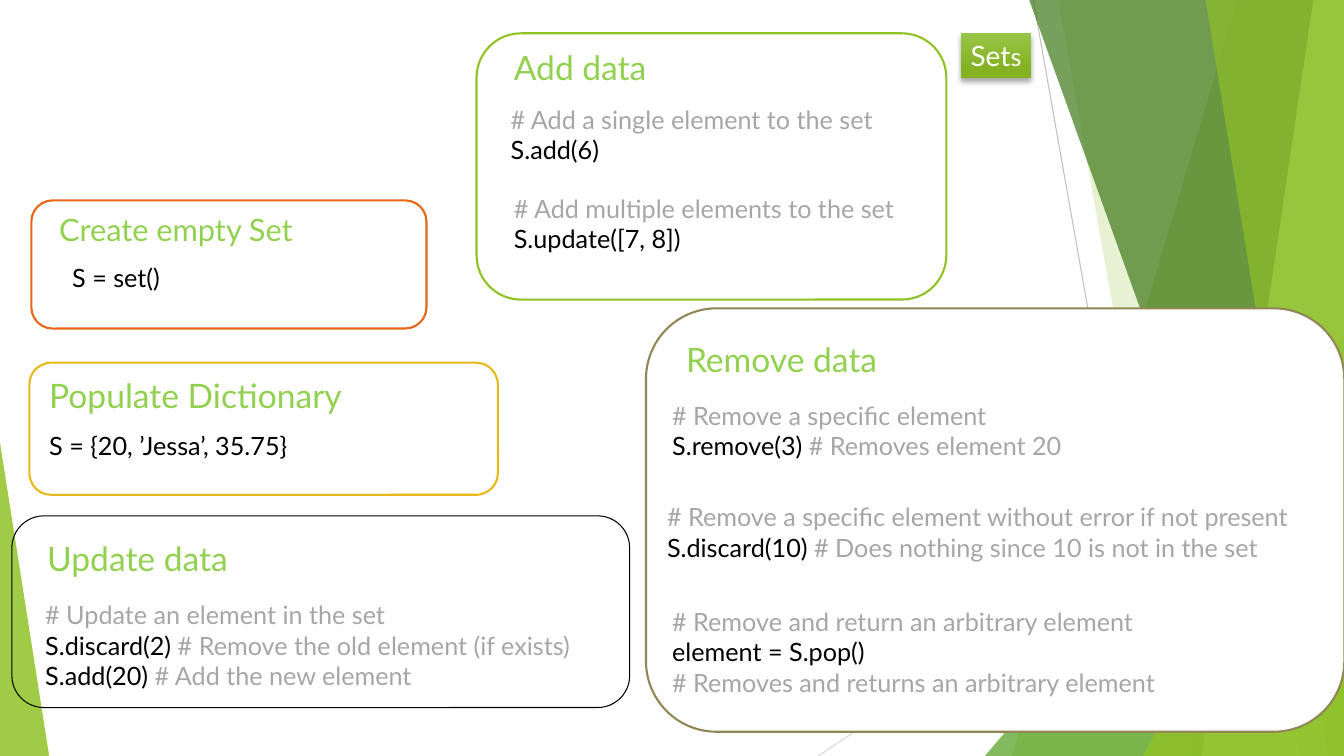
import pptx
import pptx.util
import pptx.dml.color
import pptx.enum.dml
import pptx.enum.shapes
import pptx.enum.text
import pptx.oxml
import pptx.oxml.ns
import lxml.etree

Cm, Pt = pptx.util.Cm, pptx.util.Pt
Kind = pptx.enum.shapes.MSO_SHAPE
qn = pptx.oxml.ns.qn

HEX = {
    "white": "FFFFFF", "black": "000000", "note": "A6A6A6", "head": "92D050",
    "green": "90C226", "leaf": "54A021", "dark": "3F7819", "lime": "C0E474",
    "gold": "E6B91E", "olive": "918655", "rust": "E76618",
    "silver": "BFBFBF", "mist": "D9D9D9", "light": "97C547", "deep": "84B223",
}
WIDE, HIGH = 33.87, 19.05


def tint(name):
    return pptx.dml.color.RGBColor.from_string(HEX[name])


def write(box, lines, size, plain):
    """Fill a text box; whatever follows a # takes the note colour."""
    frame = slide.shapes.add_textbox(*map(Cm, box)).text_frame
    frame.word_wrap = True
    for i, line in enumerate(lines):
        para = frame.paragraphs[0] if i == 0 else frame.add_paragraph()
        para.font.name, para.font.size = "Lato", Pt(size)
        code, mark, note = line.partition("#")
        for text, hue in ((code, plain), (mark + note, "note")):
            if text:
                run = para.add_run()
                run.text = text
                run.font.color.rgb = tint(hue)


deck = pptx.Presentation()
deck.slide_width, deck.slide_height = Cm(WIDE), Cm(HIGH)
slide = deck.slides.add_slide(deck.slide_layouts[5])

# Thin background lines
for ends, hue in [((26.04, 0, 29.41, HIGH), "silver"),
                  ((WIDE, 10.24, 20.62, HIGH), "mist")]:
    line = slide.shapes.add_connector(
        pptx.enum.shapes.MSO_CONNECTOR.STRAIGHT, *map(Cm, ends))
    line.line.color.rgb = tint(hue)
    line.line.width = Pt(0.75)
    lxml.etree.SubElement(line._element.spPr, qn("a:effectLst"))

# Green facets: bands (top x, bottom x) reach the right edge,
# triangles have a box and the place of their tip
facets = [
    ((31.19, 25.5), None, "green", 30),
    ((26.67, 30.05), None, "green", 20),
    ((24.82, 8.46, 9.05, 10.59), 1, "leaf", 72),
    ((25.93, 32.79), None, "dark", 70),
    ((33.1, 30.28), None, "lime", 70),
    ((30.38, 33.48), None, "green", 65),
    ((28.8, 9.98, 5.07, 9.07), 1, "green", 80),
    ((0, 11.15, 1.24, 7.9), 0, "green", 85),
]
for place, tip, hue, alpha in facets:
    if tip is None:
        top, foot = place
        path = slide.shapes.build_freeform(Cm(top), Cm(-0.02), scale=1)
        path.add_line_segments([(Cm(WIDE), Cm(-0.02)), (Cm(WIDE), Cm(HIGH)),
                                (Cm(foot), Cm(HIGH))], close=True)
        facet = path.convert_to_shape()
    else:
        facet = slide.shapes.add_shape(Kind.ISOSCELES_TRIANGLE, *map(Cm, place))
        facet.adjustments[0] = tip
    facet.shadow.inherit = False
    facet.line.fill.background()
    facet.fill.solid()
    facet.fill.fore_color.rgb = tint(hue)
    shade = facet._element.spPr.find(qn("a:solidFill"))[0]
    lxml.etree.SubElement(shade, qn("a:alpha")).set("val", str(alpha * 1000))

# Cards: box, fill, line, line width, heading (box, text, size), code blocks
cards = [
    ((0.74, 9.14, 11.81, 3.33), "white", "gold", 1.5,
     ((0.99, 9.32, 8.03, 1.27), "Populate Dictionary", 24),
     [((0.99, 10.72, 7.11, 1.02), ["S = {20, ’Jessa’, 35.75}"])]),
    ((16.28, 7.77, 17.6, 10.67), "white", "olive", 1.5,
     ((17.04, 8.41, 7.26, 1.52), "Remove data", 24),
     [((16.69, 9.96, 15.47, 1.8),
       ["# Remove a specific element",
        "S.remove(3) # Removes element 20"]),
      ((16.56, 12.52, 16.92, 1.8),
       ["# Remove a specific element without error if not present",
        "S.discard(10) # Does nothing since 10 is not in the set"]),
      ((16.69, 15.16, 16.92, 2.57),
       ["# Remove and return an arbitrary element",
        "element = S.pop()",
        "# Removes and returns an arbitrary element"])]),
    ((0.3, 13, 15.57, 4.83), None, "black", 0.75,
     ((0.94, 13.44, 6.58, 1.27), "Update data", 24),
     [((0.89, 14.99, 14.71, 2.57),
       ["# Update an element in the set",
        "S.discard(2) # Remove the old element (if exists)",
        "S.add(20) # Add the new element"])]),
    ((0.79, 5.05, 9.96, 3.23), "white", "rust", 1.5,
     ((1.24, 5.18, 6.65, 1.19), "Create empty Set", 22),
     [((1.57, 6.48, 2.87, 1.02), ["S = set()"])]),
    ((12.01, 0.84, 11.84, 6.71), "white", "green", 1.5,
     ((12.7, 1.07, 3.94, 1.75), "Add data", 24),
     [((12.62, 2.51, 10.03, 1.8),
       ["# Add a single element to the set", "S.add(6)"]),
      ((12.7, 4.75, 10.52, 1.8),
       ["# Add multiple elements to the set", "S.update([7, 8])"])]),
]
for box, fill, edge, width, (spot, head, size), blocks in cards:
    card = slide.shapes.add_shape(Kind.ROUNDED_RECTANGLE, *map(Cm, box))
    card.shadow.inherit = False
    if fill:
        card.fill.solid()
        card.fill.fore_color.rgb = tint(fill)
    else:
        card.fill.background()
    card.line.color.rgb = tint(edge)
    card.line.width = Pt(width)
    write(spot, [head], size, "head")
    for place, lines in blocks:
        write(place, lines, 18, "black")

# Title tag
tag = slide.shapes.title
tag.left, tag.top, tag.width, tag.height = map(Cm, (24.21, 0.84, 1.78, 1.12))
tag.fill.gradient()
tag.fill.gradient_angle = 270
for stop, hue, spot in zip(tag.fill.gradient_stops, ("light", "deep"), (0, 0.78)):
    stop.color.rgb = tint(hue)
    stop.position = spot
frame = tag.text_frame
frame.auto_size = pptx.enum.text.MSO_AUTO_SIZE.NONE
frame.word_wrap = True
frame.margin_left, frame.margin_right = Cm(0.25), Cm(0)
frame.margin_top = frame.margin_bottom = Cm(0)
para = frame.paragraphs[0]
para.alignment = pptx.enum.text.PP_ALIGN.LEFT
para.font.name = "Lato"
para.font.color.rgb = tint("white")
for text, size in (("Set", 20), ("s", 18)):
    run = para.add_run()
    run.text = text
    run.font.size = Pt(size)

# Soft shadow under the tag
glow = lxml.etree.SubElement(tag._element.spPr, qn("a:effectLst"))
cast = lxml.etree.SubElement(glow, qn("a:outerShdw"), blurRad=str(Pt(4)),
                             dist=str(Pt(3)), dir="5400000", rotWithShape="0")
shade = lxml.etree.SubElement(cast, qn("a:srgbClr"), val=HEX["black"])
lxml.etree.SubElement(shade, qn("a:alpha"), val="35000")

deck.save("out.pptx")
